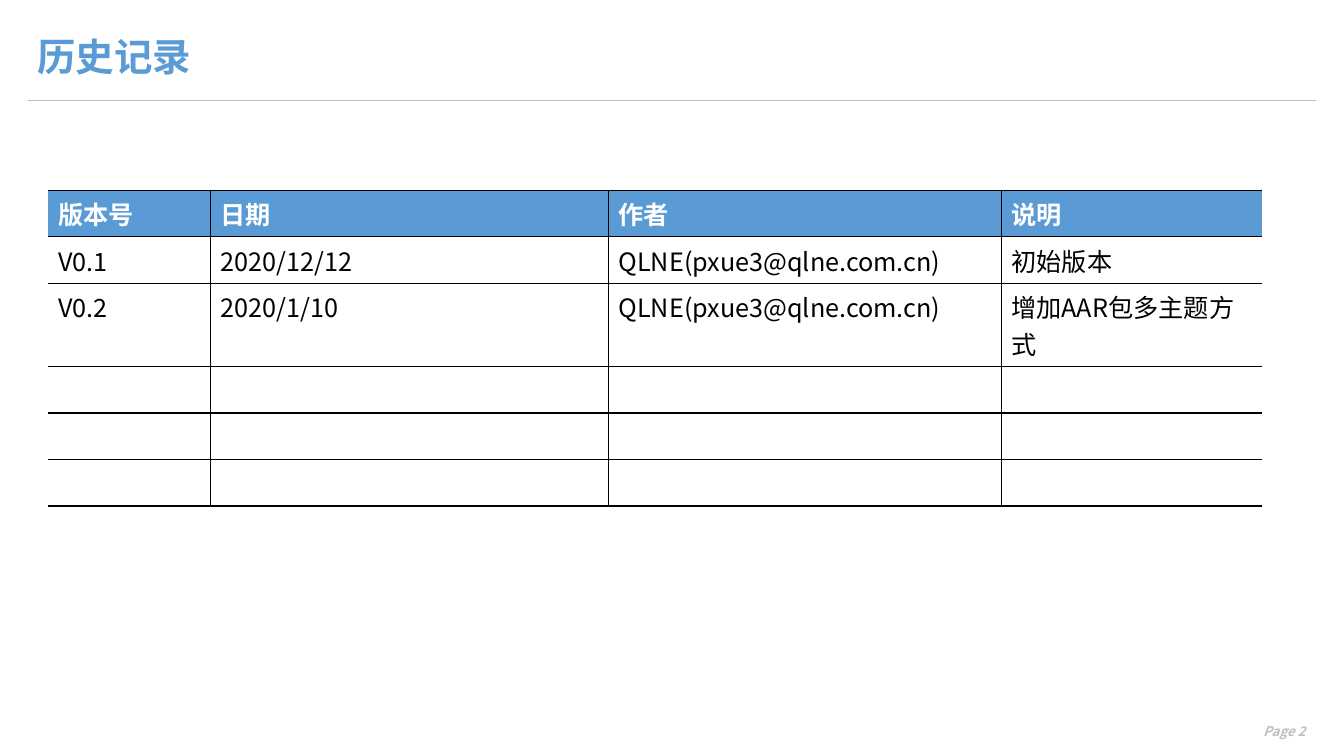
import pptx
import pptx.dml.color
import pptx.enum.shapes
import pptx.enum.text
import pptx.oxml.ns
import pptx.util
from lxml import etree
from pptx.util import Pt

# Content
TITLE = "历史记录"
PAGE_LABEL = "Page 2"
HEADERS = ["版本号", "日期", "作者", "说明"]
VERSIONS = [
    ["V0.1", "2020/12/12", "QLNE(pxue3@qlne.com.cn)", "初始版本"],
    ["V0.2", "2020/1/10", "QLNE(pxue3@qlne.com.cn)", "增加AAR包多主题方式"],
]
EMPTY_ROWS = 3

# Style
FONT = "Noto Sans CJK SC"
BLUE, GRAY, BLACK, WHITE = "5B9BD5", "BFBFBF", "000000", "FFFFFF"
COLUMN_WIDTHS = [115.8, 284.4, 280.6, 186]
ROW_HEIGHT, TWO_LINE_HEIGHT = 33.2, 59.4
ROW_HEIGHTS = [ROW_HEIGHT] * 2 + [TWO_LINE_HEIGHT] + [ROW_HEIGHT] * EMPTY_ROWS
TABLE_LEFT, TABLE_TOP = 34.5, 136


def color(hex_value):
    return pptx.dml.color.RGBColor.from_string(hex_value)


def write(text_frame, text, size, hex_value, bold=False, italic=False):
    text_frame.text = text
    for run in text_frame.paragraphs[0].runs:
        font = run.font
        font.name, font.size = FONT, Pt(size)
        font.bold, font.italic = bold, italic
        font.color.rgb = color(hex_value)
        properties = run._r.get_or_add_rPr()
        etree.SubElement(properties, pptx.oxml.ns.qn("a:ea"), typeface=FONT)
    return text_frame.paragraphs[0]


def add_text(slide, box, text, size, hex_value, **style):
    text_frame = slide.shapes.add_textbox(*map(Pt, box)).text_frame
    text_frame.word_wrap = True
    text_frame.vertical_anchor = pptx.enum.text.MSO_ANCHOR.MIDDLE
    return write(text_frame, text, size, hex_value, **style)


def set_border(cell, side, visible):
    qn = pptx.oxml.ns.qn
    border = etree.SubElement(cell._tc.get_or_add_tcPr(), qn(f"a:ln{side}"), w=str(Pt(1)))
    if visible:
        fill = etree.SubElement(border, qn("a:solidFill"))
        etree.SubElement(fill, qn("a:srgbClr"), val=BLACK)
    else:
        etree.SubElement(border, qn("a:noFill"))


presentation = pptx.Presentation()
presentation.slide_width, presentation.slide_height = Pt(960), Pt(540)
slide = presentation.slides.add_slide(presentation.slide_layouts[6])

# Header rule, page label and title
rule = slide.shapes.add_connector(
    pptx.enum.shapes.MSO_CONNECTOR.STRAIGHT, Pt(19.7), Pt(71.5), Pt(939.8), Pt(71.5))
rule.line.color.rgb = color(GRAY)
rule.line.width = Pt(0.5)
etree.SubElement(rule._element.spPr, pptx.oxml.ns.qn("a:effectLst"))

page_label = add_text(slide, (758, 513.4, 181.6, 18), PAGE_LABEL, 9.5, GRAY,
                      bold=True, italic=True)
page_label.alignment = pptx.enum.text.PP_ALIGN.RIGHT
title = add_text(slide, (19.7, 19.2, 544.3, 46), TITLE, 27.5, BLUE, bold=True)
title.line_spacing = 0.9

# Version table: inner lines plus top and bottom, open at left and right
rows = [HEADERS] + VERSIONS + [[""] * len(HEADERS)] * EMPTY_ROWS
table = slide.shapes.add_table(
    len(rows), len(HEADERS), Pt(TABLE_LEFT), Pt(TABLE_TOP),
    Pt(sum(COLUMN_WIDTHS)), Pt(sum(ROW_HEIGHTS))).table
table.first_row = table.horz_banding = False
for column, width in zip(table.columns, COLUMN_WIDTHS):
    column.width = Pt(width)

for row_index, texts in enumerate(rows):
    table.rows[row_index].height = Pt(ROW_HEIGHTS[row_index])
    is_header = row_index == 0
    for column_index, text in enumerate(texts):
        cell = table.cell(row_index, column_index)
        set_border(cell, "L", column_index > 0)
        set_border(cell, "R", column_index < len(HEADERS) - 1)
        set_border(cell, "T", True)
        set_border(cell, "B", True)
        if is_header:
            cell.fill.solid()
            cell.fill.fore_color.rgb = color(BLUE)
        else:
            cell.fill.background()
        if text:
            write(cell.text_frame, text, 18, WHITE if is_header else BLACK, bold=is_header)

presentation.save("out.pptx")
